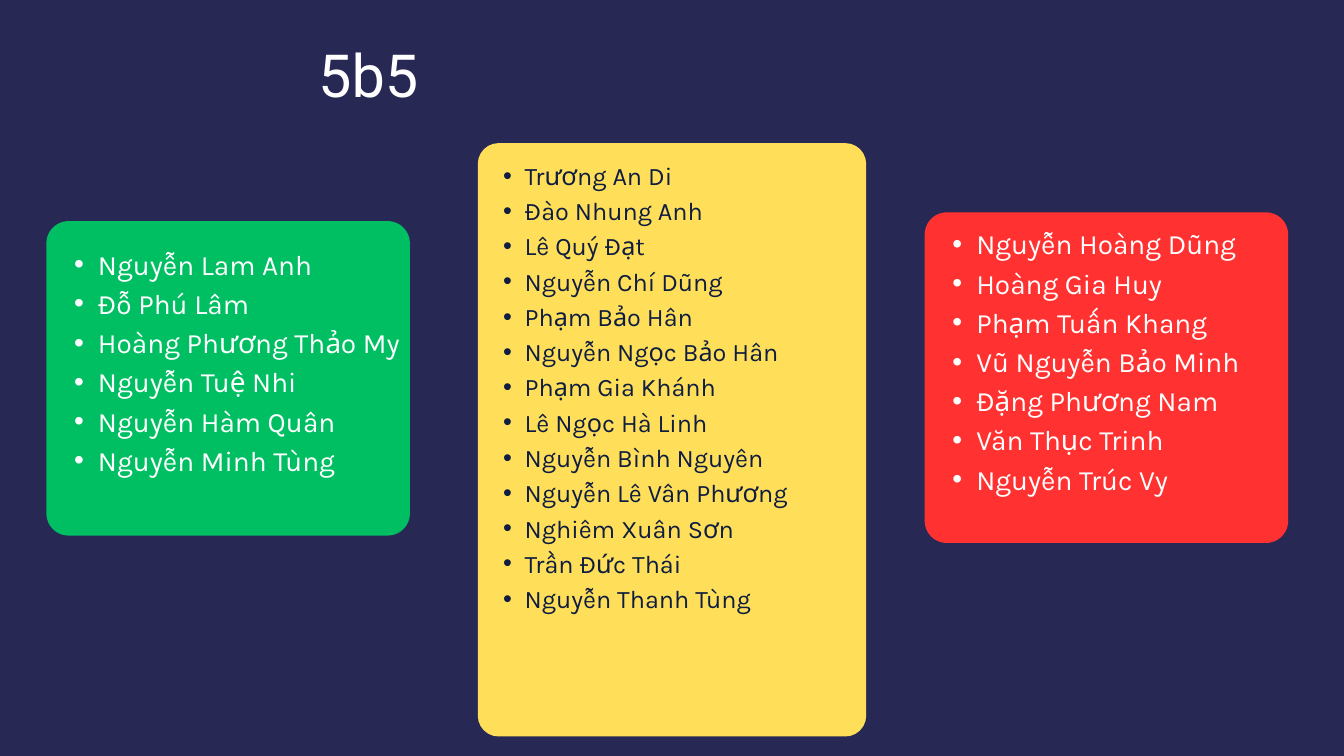
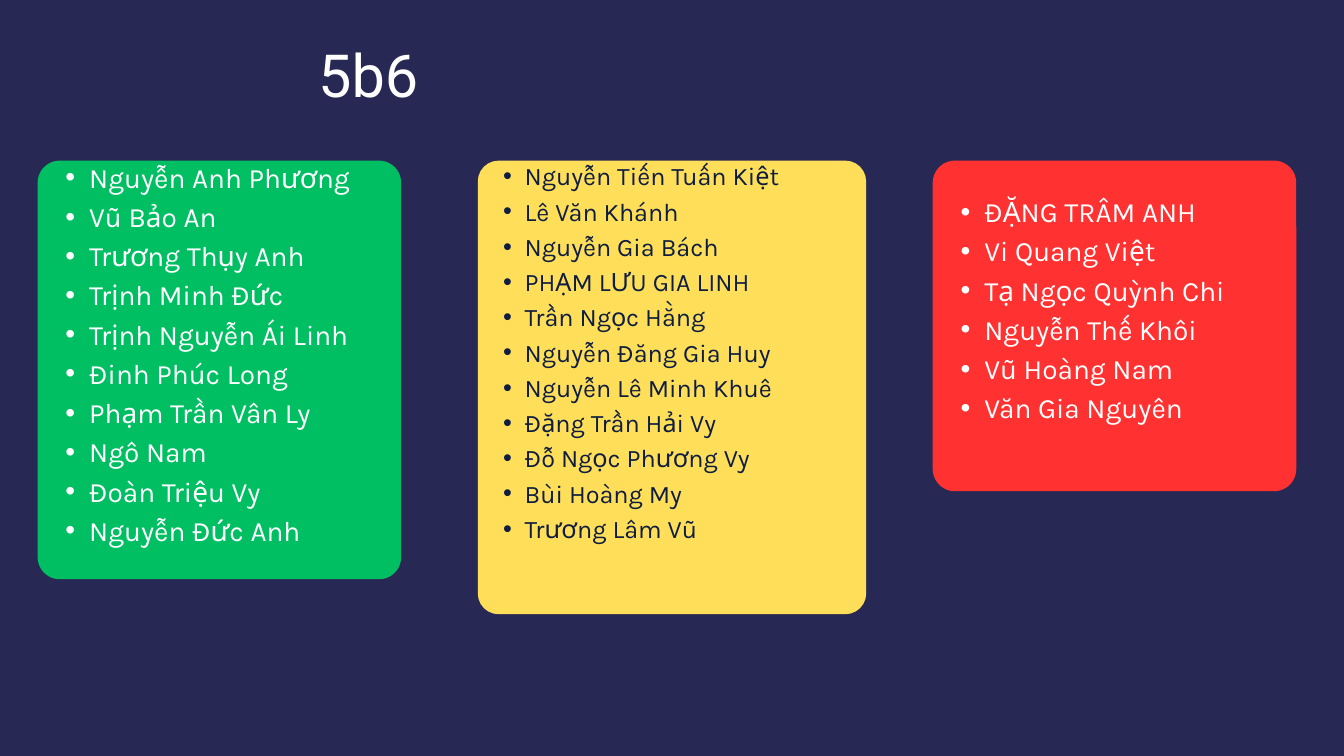
from lxml import etree
from pptx import Presentation, util as u
from pptx.dml.color import RGBColor
from pptx.enum import shapes, text
from pptx.oxml.ns import qn

NAVY = RGBColor(0x28, 0x28, 0x54)
INK = RGBColor(0x0E, 0x1D, 0x40)
WHITE = RGBColor(0xFF, 0xFF, 0xFF)
GREEN = RGBColor(0x00, 0xBF, 0x63)
YELLOW = RGBColor(0xFF, 0xDE, 0x59)
RED = RGBColor(0xFF, 0x31, 0x31)

# Groups: width, corner radius, rise of the text above the card (inches),
# fill, text colour, text size (points)
GROUPS = {
    "red": (5.41, 0.33, 0.2, RED, WHITE, 30),
    "yellow": (5.78, 0.31, 0.23, YELLOW, INK, 27),
    "green": (5.41, 0.33, 0.2, GREEN, WHITE, 30),
}
LINE = 1.4        # line height as a share of the text size
TAIL = 26.6       # room kept free under every list, points
PAD = 0.06

# Classes: group, left, top, height (inches), free lines under the list, names
CLASSES = [
    ("5b5", [
        ("red", 13.76, 3.16, 4.92, 0, [
            "Nguyễn Hoàng Dũng", "Hoàng Gia Huy", "Phạm Tuấn Khang",
            "Vũ Nguyễn Bảo Minh", "Đặng Phương Nam", "Văn Thục Trinh",
            "Nguyễn Trúc Vy"]),
        ("yellow", 7.11, 2.13, 8.83, 2, [
            "Trương An Di", "Đào Nhung Anh", "Lê Quý Đạt", "Nguyễn Chí Dũng",
            "Phạm Bảo Hân", "Nguyễn Ngọc Bảo Hân", "Phạm Gia Khánh",
            "Lê Ngọc Hà Linh", "Nguyễn Bình Nguyên", "Nguyễn Lê Vân Phương",
            "Nghiêm Xuân Sơn", "Trần Đức Thái", "Nguyễn Thanh Tùng"]),
        ("green", 0.69, 3.29, 4.68, 0, [
            "Nguyễn Lam Anh", "Đỗ Phú Lâm", "Hoàng Phương Thảo My",
            "Nguyễn Tuệ Nhi", "Nguyễn Hàm Quân", "Nguyễn Minh Tùng"]),
    ]),
    ("5b6", [
        ("red", 13.88, 2.39, 4.92, 0, [
            "ĐẶNG TRÂM ANH", "Vi Quang Việt", "Tạ Ngọc Quỳnh Chi",
            "Nguyễn Thế Khôi", "Vũ Hoàng Nam", "Văn Gia Nguyên"]),
        ("yellow", 7.11, 2.39, 6.75, 1, [
            "Nguyễn Tiến Tuấn Kiệt", "Lê Văn Khánh", "Nguyễn Gia Bách",
            "PHẠM LƯU GIA LINH", "Trần Ngọc Hằng", "Nguyễn Đăng Gia Huy",
            "Nguyễn Lê Minh Khuê", "Đặng Trần Hải Vy", "Đỗ Ngọc Phương Vy",
            "Bùi Hoàng My", "Trương Lâm Vũ"]),
        ("green", 0.56, 2.39, 6.23, 0, [
            "Nguyễn Anh Phương", "Vũ Bảo An", "Trương Thụy Anh",
            "Trịnh Minh Đức", "Trịnh Nguyễn Ái Linh", "Đinh Phúc Long",
            "Phạm Trần Vân Ly", "Ngô Nam", "Đoàn Triệu Vy",
            "Nguyễn Đức Anh"]),
    ]),
]


def inches(*lengths):
    return [u.Inches(n) for n in lengths]


def set_margins(tf, side, bottom):
    tf.margin_left = tf.margin_top = tf.margin_right = u.Inches(side)
    tf.margin_bottom = u.Inches(bottom)


def format_run(p, font, size, color):
    r = p.runs[0]
    r.font.name, r.font.size = font, u.Pt(size)
    r.font.color.rgb = color


def set_title(s, name):
    sp = s.shapes.title
    sp.left, sp.top, sp.width, sp.height = inches(0.69, 0.65, 9.58, 1)
    tf = sp.text_frame
    tf.text = name
    tf.auto_size = text.MSO_AUTO_SIZE.SHAPE_TO_FIT_TEXT
    tf.vertical_anchor = text.MSO_ANCHOR.TOP
    set_margins(tf, 0, 0)
    p = tf.paragraphs[0]
    p.alignment = text.PP_ALIGN.CENTER
    p.line_spacing = u.Pt(70.6)
    p.space_before = u.Pt(0)
    format_run(p, "Roboto", 63.6, WHITE)


def add_bullet(p, size):
    indent = u.Pt(size * 0.85)
    pPr = p._p.get_or_add_pPr()
    pPr.set("marL", str(2 * indent))
    pPr.set("indent", str(-indent))
    etree.SubElement(pPr, qn("a:buFont")).set("typeface", "Arial")
    etree.SubElement(pPr, qn("a:buChar")).set("char", "•")


def add_group(s, group, left, top, height, free_lines, names):
    width, radius, rise, fill, color, size = GROUPS[group]

    # Card
    card = s.shapes.add_shape(shapes.MSO_SHAPE.ROUNDED_RECTANGLE,
                              *inches(left, top, width, height))
    card.adjustments[0] = radius / min(width, height)
    card.shadow.inherit = False
    card.fill.solid()
    card.fill.fore_color.rgb = fill
    card.line.fill.background()

    # Names
    box = s.shapes.add_textbox(*inches(left, top - rise, width, height + rise))
    tf = box.text_frame
    tf.word_wrap = True
    tf.vertical_anchor = text.MSO_ANCHOR.MIDDLE
    set_margins(tf, PAD, PAD + (TAIL + free_lines * size * LINE) / 72)
    tf.text = "\n".join(names)
    for p in tf.paragraphs:
        p.line_spacing = u.Pt(size * LINE)
        add_bullet(p, size)
        format_run(p, "Karla", size, color)


def main():
    prs = Presentation()
    prs.slide_width, prs.slide_height = inches(20, 11.25)
    for name, groups in CLASSES:
        s = prs.slides.add_slide(prs.slide_layouts[5])
        s.background.fill.solid()
        s.background.fill.fore_color.rgb = NAVY
        set_title(s, name)
        for group in groups:
            add_group(s, *group)
    prs.save("out.pptx")


if __name__ == "__main__":
    main()
